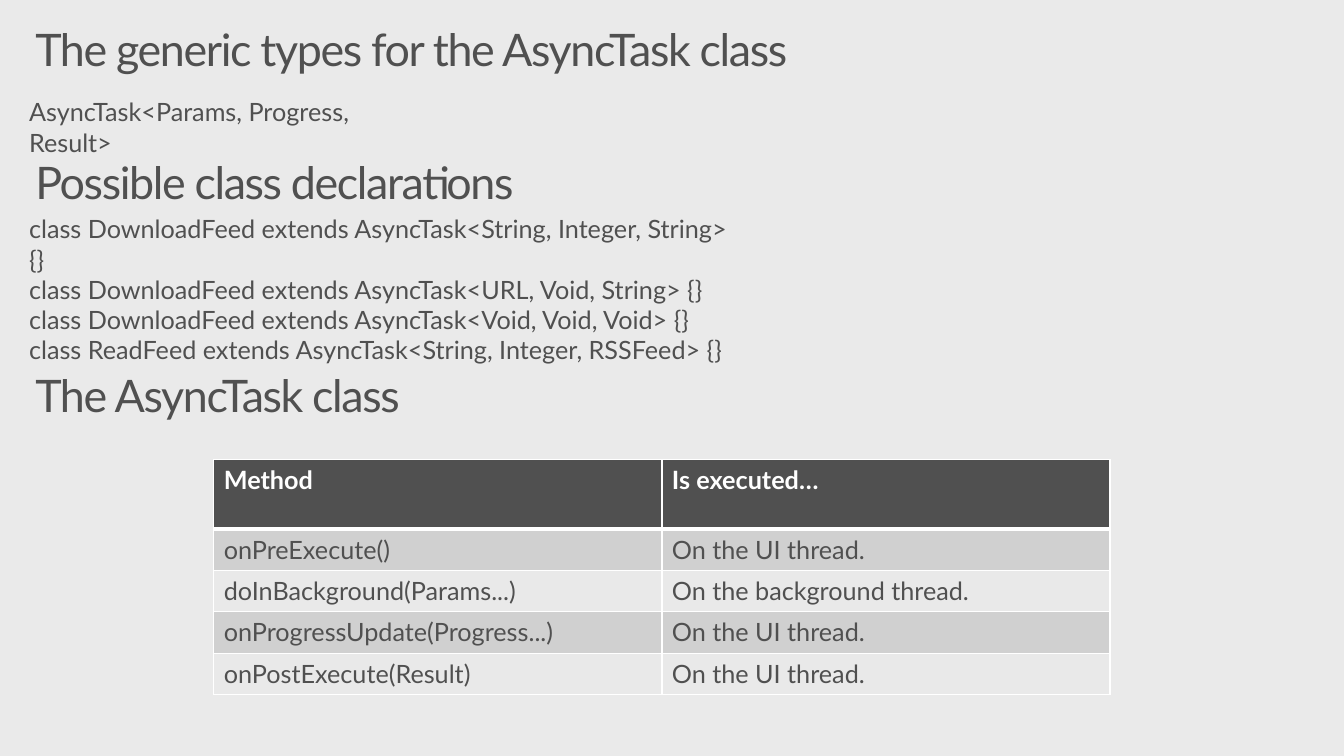
from dataclasses import dataclass

from pptx import Presentation
from pptx.dml.color import RGBColor
from pptx.enum.text import MSO_ANCHOR
from pptx.oxml.ns import qn
from pptx.util import Inches, Pt
from lxml import etree

TOP = MSO_ANCHOR.TOP


@dataclass(frozen=True)
class Theme:
    font: str = "Lato"
    background: str = "EAEAEA"
    text: str = "505050"
    white: str = "FFFFFF"
    bands: tuple = ("D0D0D0", "E9E9E9")
    heading_size: int = 32
    body_size: int = 18
    heading_spacing: int = -100
    border: int = 1
    header_border: int = 3


THEME = Theme()
LEFT = 0.19

HEADINGS = [
    (0.18, "The generic types for the AsyncTask class"),
    (1.49, "Possible class declarations"),
    (3.61, "The AsyncTask class"),
]
CODE_BLOCKS = [
    (0.91, 4.23, 0.4, ["AsyncTask<Params, Progress, Result>"]),
    (2.07, 7.26, 1.31, [
        "class DownloadFeed extends AsyncTask<String, Integer, String> {}",
        "class DownloadFeed extends AsyncTask<URL, Void, String> {}",
        "class DownloadFeed extends AsyncTask<Void, Void, Void> {}",
        "class ReadFeed extends AsyncTask<String, Integer, RSSFeed> {}",
    ]),
]
METHODS = [
    ("Method", "Is executed…"),
    ("onPreExecute()", "On the UI thread."),
    ("doInBackground(Params...)", "On the background thread."),
    ("onProgressUpdate(Progress...)", "On the UI thread."),
    ("onPostExecute(Result)", "On the UI thread."),
]


def style(p, size, color, bold=False):
    p.font.name = THEME.font
    p.font.size = Pt(size)
    p.font.bold = bold
    p.font.color.rgb = RGBColor.from_string(color)


def add_text(s, top, width, height, lines, size):
    sp = s.shapes.add_textbox(Inches(LEFT), Inches(top), Inches(width), Inches(height))
    tf = sp.text_frame
    tf.word_wrap = True
    tf.vertical_anchor = TOP
    tf.text = "\n".join(lines)
    for p in tf.paragraphs:
        style(p, size, THEME.text)
    return tf


def add_heading(s, top, text):
    tf = add_text(s, top, 12.75, 0.72, [text], THEME.heading_size)
    tf.margin_left = tf.margin_right = Inches(0.16)
    tf.margin_top = tf.margin_bottom = Inches(0.1)
    p = tf.paragraphs[0]
    p.line_spacing = 0.9
    p.runs[0].font._element.set("spc", str(THEME.heading_spacing))


def set_borders(cell, top, bottom):
    tcPr = cell._tc.get_or_add_tcPr()
    widths = {"lnL": THEME.border, "lnR": THEME.border, "lnT": top, "lnB": bottom}
    for side, width in widths.items():
        ln = etree.SubElement(tcPr, qn("a:" + side), w=str(Pt(width)))
        fill = etree.SubElement(ln, qn("a:solidFill"))
        etree.SubElement(fill, qn("a:srgbClr"), val=THEME.white)


def fill_cell(cell, text, row):
    header = row == 0
    top = THEME.header_border if row == 1 else THEME.border
    bottom = THEME.header_border if header else THEME.border
    set_borders(cell, top, bottom)
    color = THEME.text if header else THEME.bands[(row - 1) % 2]
    cell.fill.solid()
    cell.fill.fore_color.rgb = RGBColor.from_string(color)
    cell.text = text
    style(cell.text_frame.paragraphs[0], THEME.body_size,
          THEME.white if header else THEME.text, header)


def add_method_table(s):
    table = s.shapes.add_table(len(METHODS), 2, Inches(2.12), Inches(4.56),
                               Inches(8.89), Inches(2.31)).table
    for row, texts in enumerate(METHODS):
        table.rows[row].height = Inches(0.41 if row else 0.69)
        for col, text in enumerate(texts):
            fill_cell(table.cell(row, col), text, row)


def main():
    prs = Presentation()
    prs.slide_width, prs.slide_height = Inches(13.33), Inches(7.5)
    s = prs.slides.add_slide(prs.slide_layouts[6])
    s.background.fill.solid()
    s.background.fill.fore_color.rgb = RGBColor.from_string(THEME.background)
    for top, text in HEADINGS:
        add_heading(s, top, text)
    for top, width, height, lines in CODE_BLOCKS:
        add_text(s, top, width, height, lines, THEME.body_size)
    add_method_table(s)
    prs.save("out.pptx")


main()
